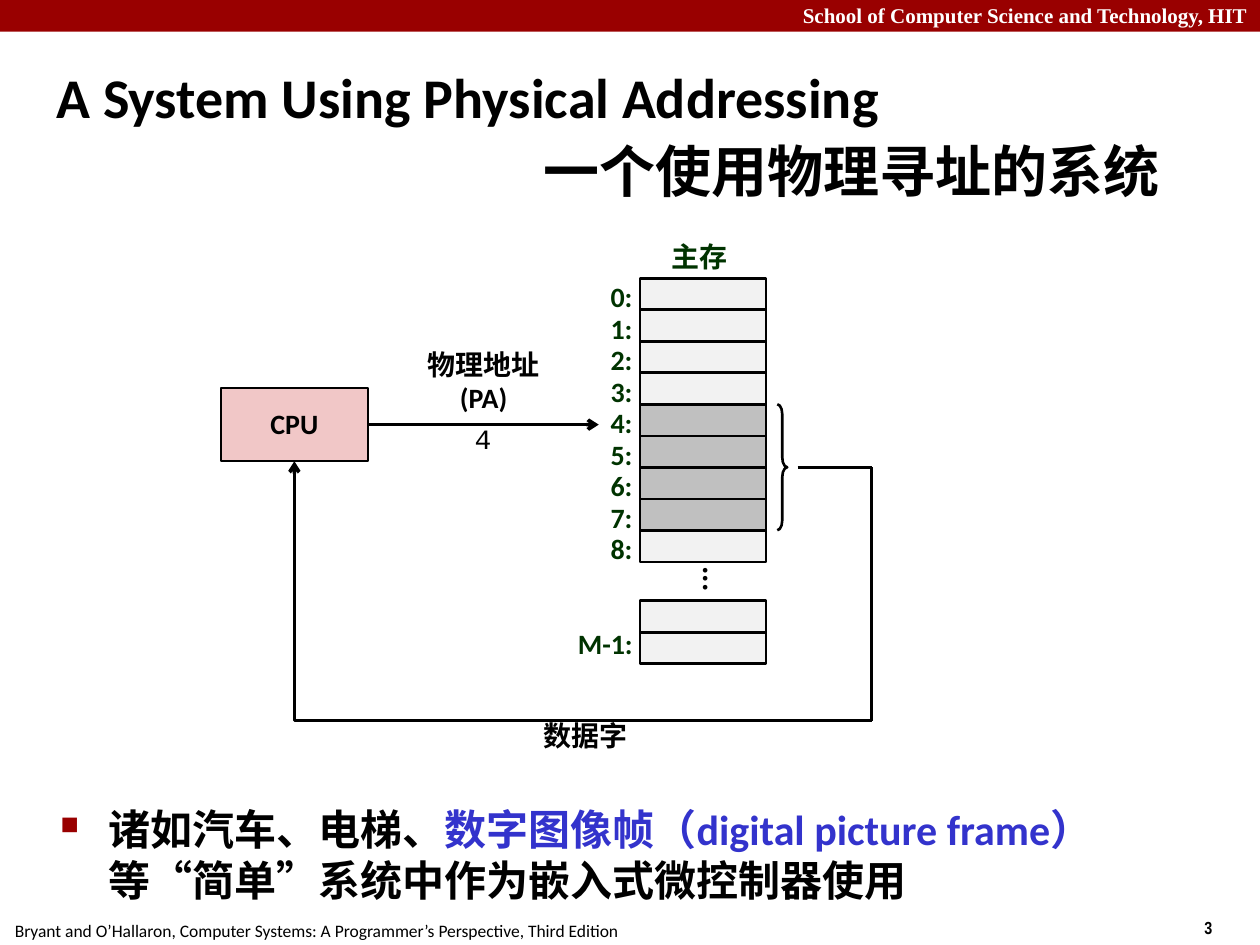
import pptx
import pptx.util
import pptx.dml.color
import pptx.enum.dml
import pptx.enum.shapes
import pptx.enum.text
from lxml import etree
from pptx.oxml.ns import qn

Cm = pptx.util.Cm
Pt = pptx.util.Pt
RGBColor = pptx.dml.color.RGBColor
Align = pptx.enum.text.PP_ALIGN
Anchor = pptx.enum.text.MSO_ANCHOR
Shape = pptx.enum.shapes.MSO_SHAPE
Connector = pptx.enum.shapes.MSO_CONNECTOR

BLACK = RGBColor(0x00, 0x00, 0x00)
WHITE = RGBColor(0xFF, 0xFF, 0xFF)
CRIMSON = RGBColor(0x99, 0x00, 0x00)
GREEN = RGBColor(0x00, 0x33, 0x00)
BLUE = RGBColor(0x33, 0x33, 0xCC)
PINK = RGBColor(0xF1, 0xC7, 0xC7)
LIGHT_GRAY = RGBColor(0xF2, 0xF2, 0xF2)
GRAY = RGBColor(0xC0, 0xC0, 0xC0)

CELL_LEFT, CELL_WIDTH = 12.9, 2.54
MEMORY_TOP, LAST_CELLS_TOP = 5.61, 12.11
CELL_COUNT = 9
CELL_HEIGHT = 5.72 / CELL_COUNT
WORD_CELLS = range(4, 8)


class Painter:
    def __init__(self, page, font="Calibri"):
        self.page = page
        self.font = font

    def style(self, para, size, color=BLACK, bold=True, font=None,
              align=Align.LEFT, spacing=None, before=0):
        para.font.name = font or self.font
        para.font.size = Pt(size)
        para.font.bold = bold
        para.font.color.rgb = color
        para.alignment = align
        para.space_before = Pt(before)
        if spacing:
            para.line_spacing = spacing

    def text(self, left, top, width, height, lines, size, wrap=False,
             grow=True, anchor=Anchor.TOP, **style):
        box = self.page.shapes.add_textbox(Cm(left), Cm(top), Cm(width), Cm(height))
        frame = box.text_frame
        frame.word_wrap = wrap
        if grow:
            frame.auto_size = pptx.enum.text.MSO_AUTO_SIZE.SHAPE_TO_FIT_TEXT
        frame.vertical_anchor = anchor
        for index, line in enumerate(lines):
            para = frame.add_paragraph() if index else frame.paragraphs[0]
            para.text = line
            self.style(para, size, **style)
        return box

    def caption(self, left, top, width, height, *lines):
        self.text(left, top, width, height, lines, 16, anchor=Anchor.MIDDLE,
                  align=Align.CENTER, spacing=0.98)

    def memory_label(self, left, top, width, label, align=Align.LEFT):
        self.text(left, top, width, 0.84, [label], 16, color=GREEN,
                  align=align, spacing=0.88, before=6)

    def shape(self, kind, left, top, width, height, fill=None, line=None):
        shape = self.page.shapes.add_shape(kind, Cm(left), Cm(top), Cm(width), Cm(height))
        shape.shadow.inherit = False
        if fill is None:
            shape.fill.background()
        else:
            shape.fill.solid()
            shape.fill.fore_color.rgb = fill
        if line is None:
            shape.line.fill.background()
        else:
            shape.line.color.rgb = BLACK
            shape.line.width = Pt(line)
        return shape

    def cell(self, top, fill=LIGHT_GRAY):
        self.shape(Shape.RECTANGLE, CELL_LEFT, top, CELL_WIDTH, CELL_HEIGHT, fill, 1.5)

    def connector(self, start, end, kind=Connector.STRAIGHT, arrow=False):
        line = self.page.shapes.add_connector(kind, *map(Cm, start + end))
        line.line.color.rgb = BLACK
        line.line.width = Pt(2)
        if arrow:
            outline = line._element.spPr.find(qn("a:ln"))
            etree.SubElement(outline, qn("a:tailEnd"), type="arrow")
        etree.SubElement(line._element.spPr, qn("a:effectLst"))
        return line

    def bullet(self, box, spans):
        """Fill the box with one square-bulleted paragraph of coloured spans."""
        para = box.text_frame.paragraphs[0]
        for content, color in spans:
            span = para.add_run()
            span.text = content
            span.font.color.rgb = color
        props = para._p.get_or_add_pPr()
        props.set("marL", str(Cm(0.97)))
        props.set("indent", str(-Cm(0.97)))
        marks = [etree.Element(qn("a:buClr")),
                 etree.Element(qn("a:buSzPct"), val="60000"),
                 etree.Element(qn("a:buChar"), char="■")]
        etree.SubElement(marks[0], qn("a:srgbClr"), val=str(CRIMSON))
        defaults = props.find(qn("a:defRPr"))
        for mark in marks:
            defaults.addprevious(mark)


def draw_frame(painter):
    painter.shape(Shape.RECTANGLE, 0, 0, 25.4, 0.64, CRIMSON)
    painter.text(24.03, 18.36, 1.9, 0.69, ["3"], 10, font="Arial Narrow")
    painter.text(0.05, 18.42, 12.73, 0.69,
                 ["Bryant and O’Hallaron, Computer Systems: "
                  "A Programmer’s Perspective, Third Edition"], 10, bold=False)
    painter.text(0, -0.08, 25.4, 0.76,
                 ["School of Computer Science and Technology, HIT"], 12, wrap=True,
                 color=WHITE, font="Times New Roman", align=Align.RIGHT)
    title = painter.text(0.89, 0.91, 24.21, 3.4,
                         ["A System Using Physical Addressing", "一个使用物理寻址的系统"],
                         32, wrap=True, grow=False, anchor=Anchor.MIDDLE, spacing=1.1)
    second_line = title.text_frame.paragraphs[1]
    second_line._p.get_or_add_pPr().set("marL", str(Cm(9.82)))
    body = painter.text(0.97, 16.08, 23.09, 2.44, [""], 24, wrap=True,
                        grow=False, before=6)
    painter.bullet(body, [("诸如汽车、电梯、", BLACK),
                          ("数字图像帧（digital picture frame）", BLUE),
                          ("等“简单”系统中作为嵌入式微控制器使用", BLACK)])


def draw_memory(painter):
    painter.memory_label(13.18, 4.79, 1.83, "主存", Align.CENTER)
    for address in range(CELL_COUNT):
        top = MEMORY_TOP + address * CELL_HEIGHT
        painter.cell(top, GRAY if address in WORD_CELLS else LIGHT_GRAY)
        painter.memory_label(12.06, top - 0.01, 1, f"{address}:")
    for row in range(2):
        painter.cell(LAST_CELLS_TOP + row * CELL_HEIGHT)
    painter.memory_label(11.4, 12.6, 1.8, "M-1:")
    dots = painter.text(13.13, 11.17, 2.54, 0.64, ["..."], 18, grow=False,
                        anchor=Anchor.MIDDLE, align=Align.CENTER, spacing=0.98)
    frame = dots.text_frame
    frame.margin_left = frame.margin_right = Cm(0.13)
    frame.margin_top = frame.margin_bottom = Cm(0.25)
    frame._txBody.bodyPr.set("vert", "eaVert")
    brace = painter.shape(Shape.RIGHT_BRACE, 15.67, 8.15, 0.2, 2.54, line=1.5)
    brace.adjustments[0] = 1


def draw_addressing(painter):
    cpu = painter.shape(Shape.RECTANGLE, 4.45, 7.82, 2.97, 1.48, PINK, 1)
    cpu.text_frame.word_wrap = False
    cpu.text_frame.vertical_anchor = Anchor.MIDDLE
    para = cpu.text_frame.paragraphs[0]
    para.text = "CPU"
    painter.style(para, 16, align=Align.CENTER, spacing=0.98)

    painter.caption(8.15, 6.91, 3.2, 1.57, "物理地址", "(PA)")
    painter.text(9.32, 8.38, 0.84, 0.94, ["4"], 16, bold=False, font="Courier New")
    painter.caption(10.51, 14.4, 2.6, 0.91, "数据字")

    address = painter.connector((7.42, 8.56), (12.07, 8.56), arrow=True)
    address.begin_connect(cpu, 3)
    painter.connector((16.08, 9.42), (17.57, 9.42))
    painter.connector((17.57, 9.42), (17.57, 14.53))
    data = painter.connector((17.57, 14.53), (5.93, 9.3), Connector.ELBOW, arrow=True)
    data.end_connect(cpu, 2)
    guides = data._element.spPr.find(qn("a:prstGeom")).find(qn("a:avLst"))
    etree.SubElement(guides, qn("a:gd"), name="adj1", fmla="val 100000")


def main():
    deck = pptx.Presentation()
    deck.slide_width, deck.slide_height = Cm(25.4), Cm(19.05)
    painter = Painter(deck.slides.add_slide(deck.slide_layouts[6]))
    draw_frame(painter)
    draw_memory(painter)
    draw_addressing(painter)
    deck.save("out.pptx")


if __name__ == "__main__":
    main()
